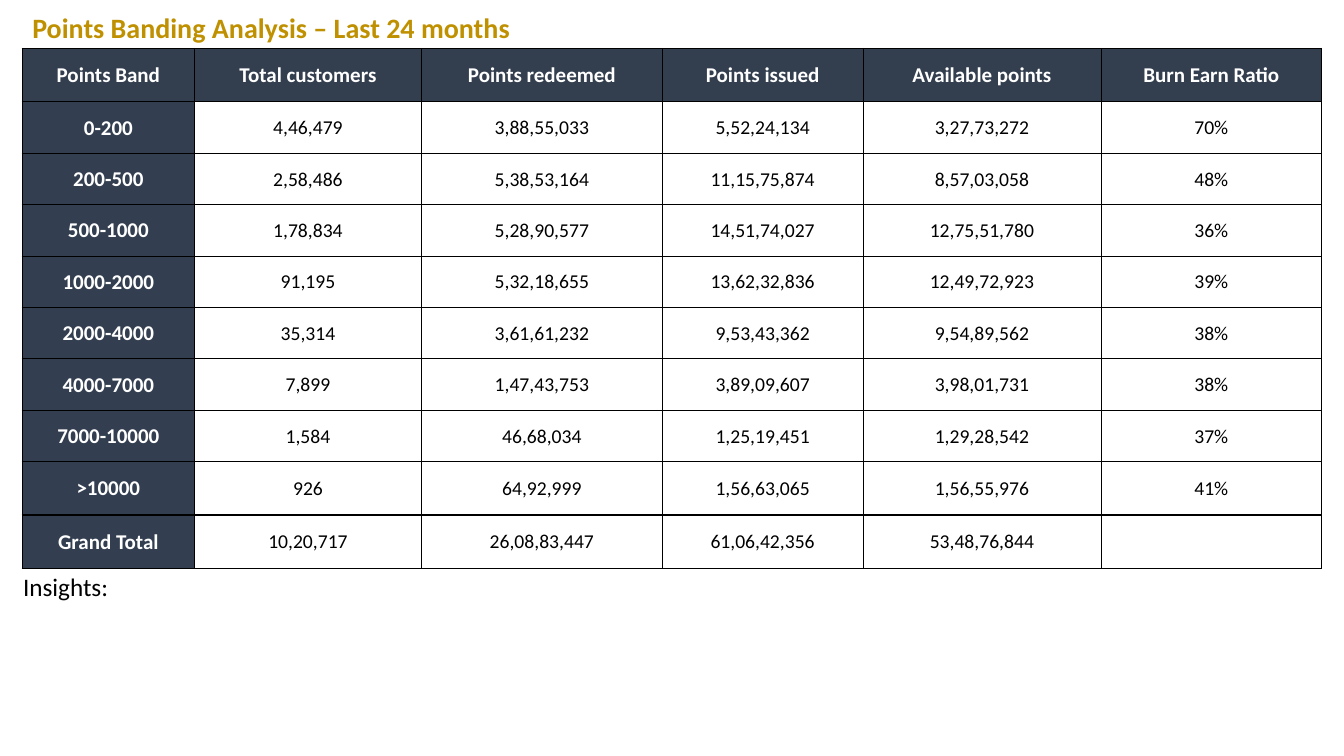
from dataclasses import dataclass

from lxml import etree
from pptx import Presentation
from pptx.dml.color import RGBColor
from pptx.enum.text import MSO_ANCHOR, MSO_AUTO_SIZE, PP_ALIGN
from pptx.oxml.ns import qn
from pptx.util import Inches, Pt

LEFT, CENTER = PP_ALIGN.LEFT, PP_ALIGN.CENTER
MIDDLE, TOP = MSO_ANCHOR.MIDDLE, MSO_ANCHOR.TOP
NO_AUTOFIT = MSO_AUTO_SIZE.NONE
TITLE_ONLY = 5
BLACK, WHITE, GOLD = "000000", "FFFFFF", "BF9000"
HEADER_FILL, BAND_FILL = "333F4F", "333F50"
THIN, THICK = Pt(0.5), Pt(1)

COLUMN_WIDTHS = [1.71, 2.25, 2.39, 1.99, 2.36, 2.19]
ROW_HEIGHTS = [0.53] + [0.51] * 7 + [0.53] * 2
POINTS_BANDS = [
    ["Points Band", "Total customers", "Points redeemed", "Points issued",
     "Available points", "Burn Earn Ratio"],
    ["0-200", "4,46,479", "3,88,55,033", "5,52,24,134", "3,27,73,272", "70%"],
    ["200-500", "2,58,486", "5,38,53,164", "11,15,75,874", "8,57,03,058", "48%"],
    ["500-1000", "1,78,834", "5,28,90,577", "14,51,74,027", "12,75,51,780", "36%"],
    ["1000-2000", "91,195", "5,32,18,655", "13,62,32,836", "12,49,72,923", "39%"],
    ["2000-4000", "35,314", "3,61,61,232", "9,53,43,362", "9,54,89,562", "38%"],
    ["4000-7000", "7,899", "1,47,43,753", "3,89,09,607", "3,98,01,731", "38%"],
    ["7000-10000", "1,584", "46,68,034", "1,25,19,451", "1,29,28,542", "37%"],
    [">10000", "926", "64,92,999", "1,56,63,065", "1,56,55,976", "41%"],
    ["Grand Total", "10,20,717", "26,08,83,447", "61,06,42,356", "53,48,76,844", ""],
]


@dataclass(frozen=True)
class TextStyle:
    size: float
    color: str
    bold: bool = False
    alignment: PP_ALIGN = LEFT


TITLE_STYLE = TextStyle(20, GOLD, bold=True)
INSIGHTS_STYLE = TextStyle(18, BLACK)
HEADING_STYLE = TextStyle(15, WHITE, bold=True, alignment=CENTER)
VALUE_STYLE = TextStyle(14, BLACK, alignment=CENTER)


def hex_color(value: str) -> RGBColor:
    return RGBColor.from_string(value)


def write_text(text_frame, text: str, style: TextStyle) -> None:
    text_frame.text = text
    paragraph = text_frame.paragraphs[0]
    paragraph.alignment = style.alignment
    for run in paragraph.runs:
        run.font.name = "Calibri"
        run.font.size = Pt(style.size)
        run.font.bold = style.bold
        run.font.color.rgb = hex_color(style.color)


def place_text(shape, box: tuple, text: str, style: TextStyle, anchor) -> None:
    shape.left, shape.top, shape.width, shape.height = map(Inches, box)
    text_frame = shape.text_frame
    text_frame.word_wrap = True
    text_frame.auto_size = NO_AUTOFIT
    text_frame.vertical_anchor = anchor
    write_text(text_frame, text, style)


def add_borders(cell, widths: dict) -> None:
    properties = cell._tc.get_or_add_tcPr()
    for side, width in widths.items():
        line = etree.SubElement(properties, qn(f"a:ln{side}"), w=str(width))
        fill = etree.SubElement(line, qn("a:solidFill"))
        etree.SubElement(fill, qn("a:srgbClr"), val=BLACK)


def format_cell(cell, row: int, column: int) -> None:
    last_row, last_column = len(ROW_HEIGHTS) - 1, len(COLUMN_WIDTHS) - 1
    # Thick lines frame the table, the header and the total row
    add_borders(cell, {
        "L": THICK if column == 0 else THIN,
        "R": THICK if column == last_column else THIN,
        "T": THICK if row in (0, 1, last_row) else THIN,
        "B": THICK if row in (0, last_row - 1, last_row) else THIN,
    })
    is_heading = row == 0 or column == 0
    if is_heading:
        cell.fill.solid()
        cell.fill.fore_color.rgb = hex_color(HEADER_FILL if row == 0 else BAND_FILL)
    else:
        cell.fill.background()
    cell.vertical_anchor = MIDDLE
    cell.margin_left = cell.margin_right = cell.margin_top = Inches(0.01)
    cell.margin_bottom = 0
    write_text(cell.text_frame, POINTS_BANDS[row][column],
               HEADING_STYLE if is_heading else VALUE_STYLE)


def add_points_table(slide) -> None:
    frame = slide.shapes.add_table(
        len(ROW_HEIGHTS), len(COLUMN_WIDTHS), Inches(0.22), Inches(0.48),
        Inches(sum(COLUMN_WIDTHS)), Inches(sum(ROW_HEIGHTS)))
    table = frame.table
    table.first_row = table.horz_banding = False
    for column, width in zip(table.columns, COLUMN_WIDTHS):
        column.width = Inches(width)
    for row_index, height in enumerate(ROW_HEIGHTS):
        table.rows[row_index].height = Inches(height)
        for column_index in range(len(COLUMN_WIDTHS)):
            format_cell(table.cell(row_index, column_index), row_index, column_index)


def main() -> None:
    presentation = Presentation()
    presentation.slide_width, presentation.slide_height = Inches(13.33), Inches(7.5)
    slide = presentation.slides.add_slide(presentation.slide_layouts[TITLE_ONLY])

    # Title
    place_text(slide.shapes.title, (0.22, 0.05, 10.19, 0.44),
               "Points Banding Analysis – Last 24 months", TITLE_STYLE, MIDDLE)

    # Insights heading below the table
    insights_box = (0.13, 5.62, 12.98, 0.4)
    insights = slide.shapes.add_textbox(*map(Inches, insights_box))
    place_text(insights, insights_box, "Insights:", INSIGHTS_STYLE, TOP)

    # Points by band
    add_points_table(slide)

    presentation.save("out.pptx")


if __name__ == "__main__":
    main()
